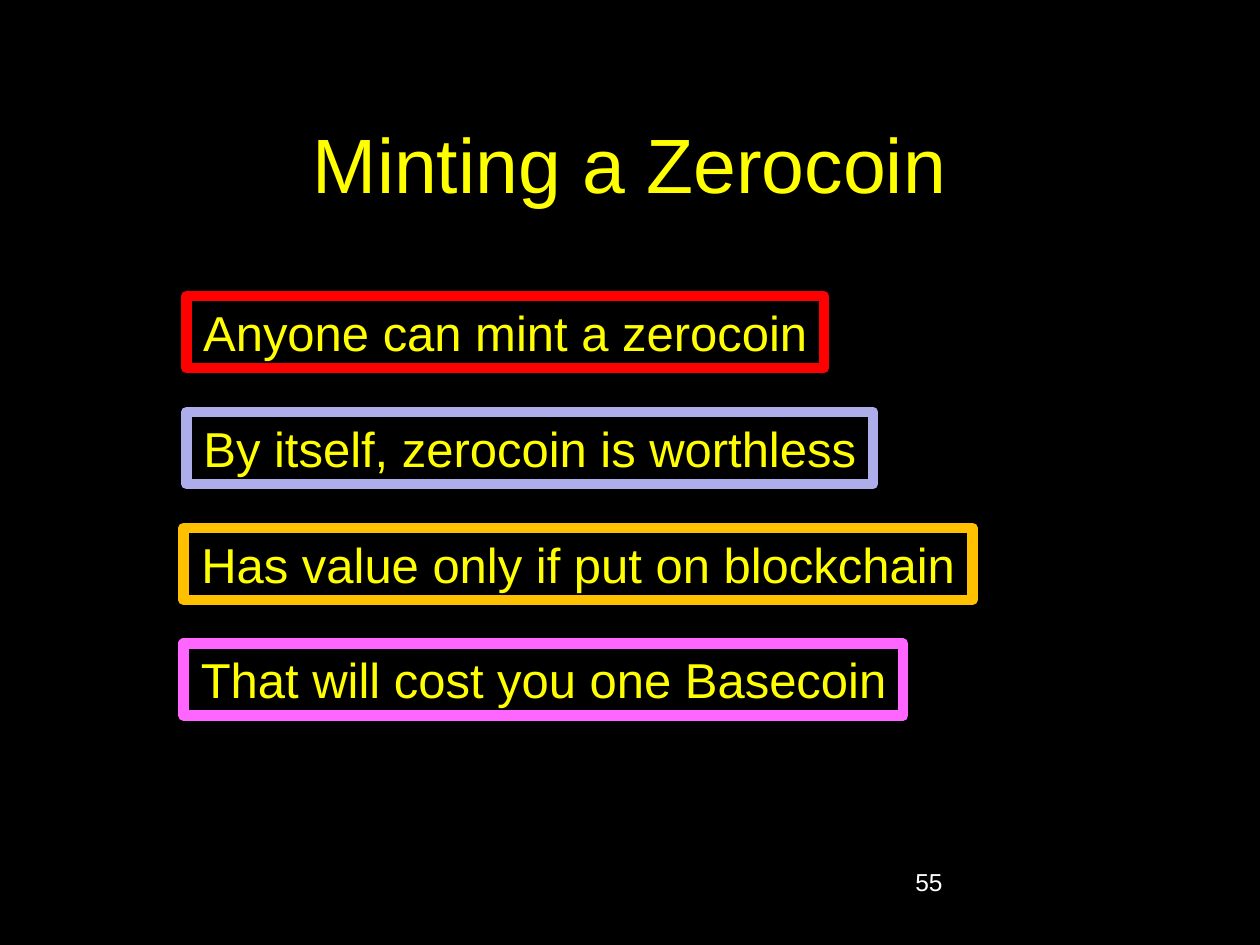
from dataclasses import dataclass

from pptx import Presentation
from pptx.dml.color import RGBColor as RGB
from pptx.enum.shapes import MSO_SHAPE as Shape
from pptx.enum.text import MSO_ANCHOR as Anchor, MSO_AUTO_SIZE as Fit, PP_ALIGN as Align
from pptx.util import Pt


@dataclass(frozen=True)
class Theme:
    font: str = "Arial"
    back: str = "000000"
    text: str = "FFFF00"
    number: str = "FFFFFF"
    red: str = "FF0000"
    lilac: str = "ADADEB"
    gold: str = "FFC000"
    pink: str = "FF66FF"
    title_size: int = 44
    body_size: int = 28
    number_size: int = 14


class Deck:
    def __init__(self, theme, width, height):
        self.theme = theme
        self.prs = Presentation()
        self.prs.slide_width, self.prs.slide_height = Pt(width), Pt(height)

    def add_slide(self):
        self.slide = self.prs.slides.add_slide(self.prs.slide_layouts[6])
        fill = self.slide.background.fill
        fill.solid()
        fill.fore_color.rgb = RGB.from_string(self.theme.back)

    def set_text(self, shape, text, size, color, align, anchor):
        frame = shape.text_frame
        frame.vertical_anchor = anchor
        para = frame.paragraphs[0]
        para.text, para.alignment = text, align
        font = para.font
        font.name, font.size = self.theme.font, Pt(size)
        font.color.rgb = RGB.from_string(color)
        return frame

    def label(self, text, box, size, color, align=Align.LEFT, anchor=Anchor.TOP):
        shape = self.slide.shapes.add_textbox(*map(Pt, box))
        self.set_text(shape, text, size, color, align, anchor).word_wrap = True

    def panel(self, text, box, edge):
        shape = self.slide.shapes.add_shape(Shape.RECTANGLE, *map(Pt, box))
        shape.shadow.inherit = False
        shape.fill.solid()
        shape.fill.fore_color.rgb = RGB.from_string(self.theme.back)
        shape.line.color.rgb = RGB.from_string(edge)
        shape.line.width = Pt(6)
        frame = self.set_text(shape, text, self.theme.body_size, self.theme.text,
                              Align.CENTER, Anchor.TOP)
        frame.word_wrap = False
        frame.auto_size = Fit.SHAPE_TO_FIT_TEXT


def main():
    theme = Theme()
    deck = Deck(theme, 720, 540)
    deck.add_slide()

    # Title
    deck.label("Minting a Zerocoin", (54, 48, 612, 90), theme.title_size,
               theme.text, Align.CENTER, Anchor.MIDDLE)

    # Framed statements: text, left, width, edge colour
    top, pitch, height = 169.2, 66.2, 41.2
    claims = [
        ("Anyone can mint a zerocoin", 106.5, 364.3, theme.red),
        ("By itself, zerocoin is worthless", 106.5, 392.4, theme.lilac),
        ("Has value only if put on blockchain", 105, 450.7, theme.gold),
        ("That will cost you one Basecoin", 105, 411.1, theme.pink),
    ]
    for row, (text, left, width, edge) in enumerate(claims):
        deck.panel(text, (left, top + row * pitch, width, height), edge)

    # Slide number
    deck.label("55", (516, 492, 150, 36), theme.number_size, theme.number)

    deck.prs.save("out.pptx")


if __name__ == "__main__":
    main()
